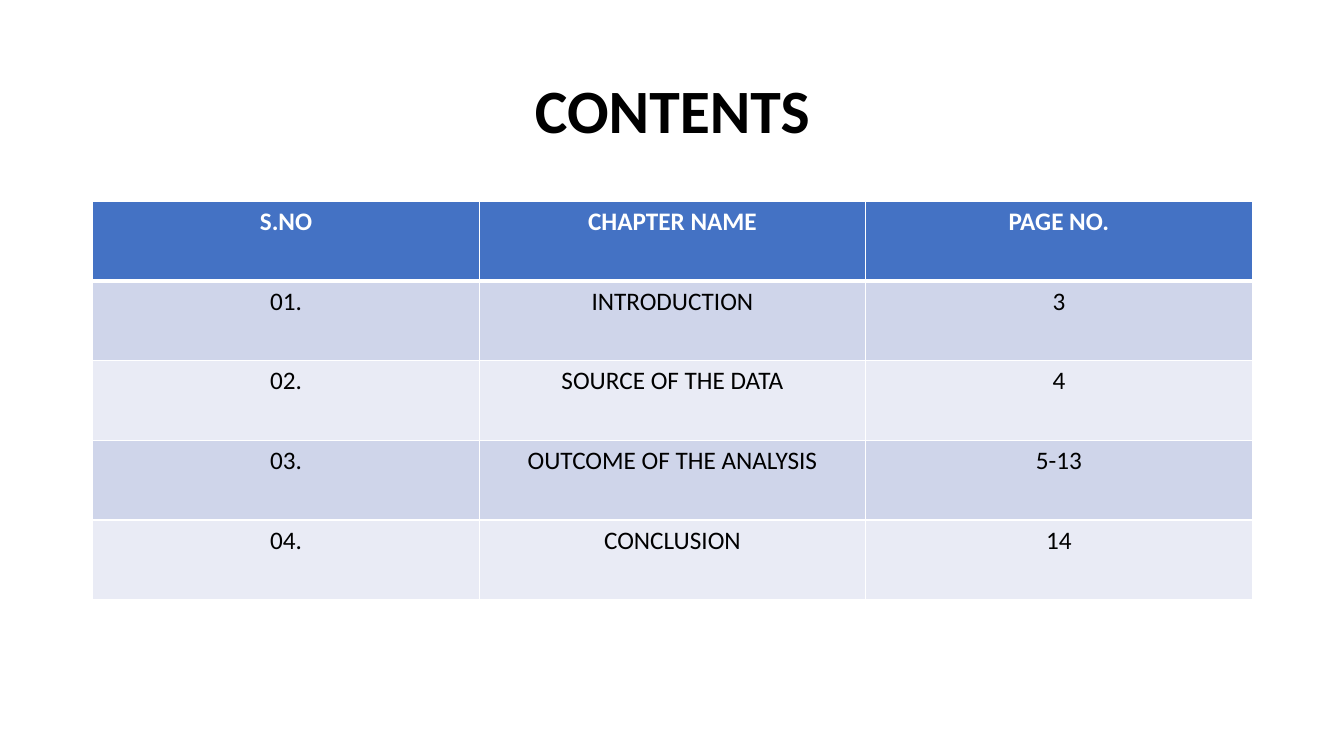
import lxml.etree
import pptx
import pptx.dml.color
import pptx.enum.text
import pptx.oxml.ns
import pptx.util

WIDE, HIGH = 13.33, 7.5
LEFT, SPAN = 0.92, 11.5
ROW = 0.79
FONT = "Calibri"
WHITE, BLACK, BLUE = "FFFFFF", "000000", "4472C4"
BANDS = ("CFD5EA", "E9EBF5")
CHAPTERS = [
    ("S.NO", "CHAPTER NAME", "PAGE NO."),
    ("01.", "INTRODUCTION", "3"),
    ("02.", "SOURCE OF THE DATA", "4"),
    ("03.", "OUTCOME OF THE ANALYSIS", "5-13"),
    ("04.", "CONCLUSION", "14"),
]


def paint(target, color):
    """Give a font or fill a solid colour."""
    if hasattr(target, "solid"):
        target.solid()
        target.fore_color.rgb = pptx.dml.color.RGBColor.from_string(color)
    else:
        paint(target.fill, color)


def write(frame, text, size, color, bold):
    """Set one centred line of text."""
    frame.text = text
    line = frame.paragraphs[0]
    line.alignment = pptx.enum.text.PP_ALIGN.CENTER
    font = line.runs[0].font
    font.name, font.size, font.bold = FONT, pptx.util.Pt(size), bold
    paint(font, color)
    return line


def border(cell, widths):
    """Draw white edges, with widths in points for each side."""
    props = cell._tc.get_or_add_tcPr()
    qn = pptx.oxml.ns.qn
    for place, (side, width) in enumerate(widths.items()):
        edge = lxml.etree.Element(qn("a:ln" + side), w=str(pptx.util.Pt(width)))
        fill = lxml.etree.SubElement(edge, qn("a:solidFill"))
        lxml.etree.SubElement(fill, qn("a:srgbClr"), val=WHITE)
        props.insert(place, edge)


def add_title(slide, text):
    title = slide.shapes.title
    title.left, title.top, title.width, title.height = map(
        pptx.util.Inches, (LEFT, 0.4, SPAN, 1.45))
    frame = title.text_frame
    frame.vertical_anchor = pptx.enum.text.MSO_ANCHOR.MIDDLE
    write(frame, text, 44, BLACK, True).line_spacing = 0.9


def add_grid(slide, data):
    area = map(pptx.util.Inches, (LEFT, 2, SPAN, ROW * len(data)))
    table = slide.shapes.add_table(len(data), len(data[0]), *area).table
    for r, row in enumerate(data):
        head = r == 0
        for c, text in enumerate(row):
            cell = table.cell(r, c)
            write(cell.text_frame, text, 18, WHITE if head else BLACK, head)
            paint(cell.fill, BLUE if head else BANDS[(r - 1) % 2])
            # A thick rule parts the header from the chapters
            border(cell, {"L": 1, "R": 1, "T": 3 if r == 1 else 1,
                          "B": 3 if head else 1})


def main():
    deck = pptx.Presentation()
    deck.slide_width = pptx.util.Inches(WIDE)
    deck.slide_height = pptx.util.Inches(HIGH)
    slide = deck.slides.add_slide(deck.slide_layouts[5])
    paint(slide.background.fill, WHITE)

    # Heading
    add_title(slide, "CONTENTS")

    # Chapter list
    add_grid(slide, CHAPTERS)

    deck.save("out.pptx")


if __name__ == "__main__":
    main()
